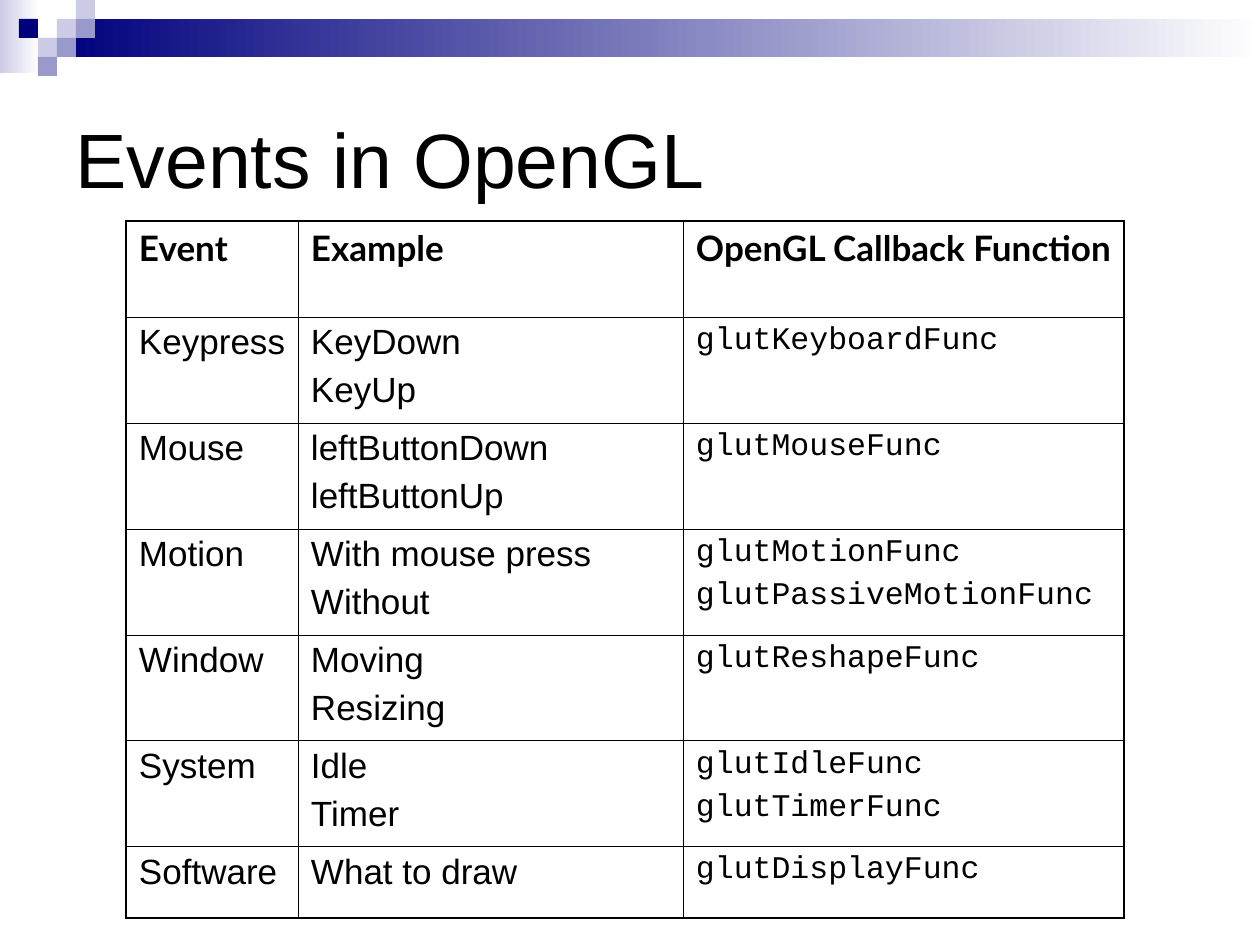
import pptx
import pptx.dml.color
import pptx.enum.shapes
import pptx.enum.text
import pptx.oxml
import pptx.oxml.ns
import pptx.util
from dataclasses import dataclass

SCALE = 914400 / 126


@dataclass(frozen=True)
class Theme:
    ink: str = "000000"
    paper: str = "FFFFFF"
    navy: str = "00007D"
    mid: str = "9999CC"
    pale: str = "CCCCE6"
    sans: str = "Arial"
    head: str = "Lato"
    mono: str = "Courier New"
    title: int = 44
    body: int = 20
    code: int = 18
    thick: float = 1.08
    thin: float = 0.45


THEME = Theme()

HEADS = ["Event", "Example", "OpenGL Callback Function"]
EVENTS = [
    ("Keypress", "KeyDown\nKeyUp", "glutKeyboardFunc"),
    ("Mouse", "leftButtonDown\nleftButtonUp", "glutMouseFunc"),
    ("Motion", "With mouse press\nWithout", "glutMotionFunc\nglutPassiveMotionFunc"),
    ("Window", "Moving\nResizing", "glutReshapeFunc"),
    ("System", "Idle\nTimer", "glutIdleFunc\nglutTimerFunc"),
    ("Software", "What to draw", "glutDisplayFunc"),
]


def px(num):
    return pptx.util.Emu(round(num * SCALE))


def rgb(code):
    return pptx.dml.color.RGBColor.from_string(code)


def style(para, face, size, bold=False):
    para.font.name = face
    para.font.size = pptx.util.Pt(size)
    para.font.bold = bold
    para.font.color.rgb = rgb(THEME.ink)


def add_block(slide, box, *tints):
    """Add a plain rectangle; two tints make a gradient from left to right."""
    kind = pptx.enum.shapes.MSO_SHAPE.RECTANGLE
    shape = slide.shapes.add_shape(kind, *map(px, box))
    shape.shadow.inherit = False
    shape.line.fill.background()
    if len(tints) == 1:
        shape.fill.solid()
        shape.fill.fore_color.rgb = rgb(tints[0])
        return
    shape.fill.gradient()
    shape.fill.gradient_angle = 0
    for stop, tint in zip(shape.fill.gradient_stops, tints):
        stop.color.rgb = rgb(tint)


def add_banner(slide, box):
    left, top, width, height = box
    unit = height // 4
    add_block(slide, (left, top, 39, 73), THEME.pale, THEME.paper)
    bar = (left + 3 * unit, top + unit, width - 3 * unit, 2 * unit)
    add_block(slide, bar, THEME.navy, THEME.paper)
    tiles = [
        (3, 1, THEME.pale), (4, 0, THEME.pale), (4, 1, THEME.mid),
        (2, 2, THEME.pale), (1, 1, THEME.navy), (3, 2, THEME.mid),
        (2, 3, THEME.mid),
    ]
    for col, row, tint in tiles:
        spot = (left + col * unit, top + row * unit, unit, unit)
        add_block(slide, spot, tint)


def set_title(slide, box, text):
    title = slide.shapes.title
    title.left, title.top, title.width, title.height = map(px, box)
    frame = title.text_frame
    frame.text = text
    frame.word_wrap = True
    frame.vertical_anchor = pptx.enum.text.MSO_ANCHOR.MIDDLE
    para = frame.paragraphs[0]
    para.alignment = pptx.enum.text.PP_ALIGN.LEFT
    style(para, THEME.sans, THEME.title)


def set_edge(cell, side, width):
    space = pptx.oxml.ns.nsdecls("a")
    line = pptx.oxml.parse_xml(
        f'<a:ln{side} {space} w="{pptx.util.Pt(width)}"><a:solidFill>'
        f'<a:srgbClr val="{THEME.ink}"/></a:solidFill></a:ln{side}>'
    )
    cell._tc.get_or_add_tcPr().append(line)


def fill_cell(cell, text, face, size, bold):
    cell.fill.background()
    cell.margin_left, cell.margin_right = px(13), px(9)
    cell.margin_top = cell.margin_bottom = px(6)
    cell.text = text
    for para in cell.text_frame.paragraphs:
        para.space_before = pptx.util.Pt(size / 4)
        style(para, face, size, bold)


def add_events(slide, box):
    left, top, width, height = box
    rows = [HEADS, *EVENTS]
    first, last = 96, 71
    step = (height - first - last) // (len(rows) - 2)
    tall = [first] + [step] * (len(rows) - 2) + [last]
    name, case = 172, 385
    wide = [name, case, width - name - case]
    frame = slide.shapes.add_table(len(rows), len(wide), *map(px, box))
    table = frame.table
    table.first_row = table.horz_banding = False
    for col, size in zip(table.columns, wide):
        col.width = px(size)
    for row, size in zip(table.rows, tall):
        row.height = px(size)
    for r, texts in enumerate(rows):
        for c, text in enumerate(texts):
            cell = table.cell(r, c)
            outer = {
                "L": c == 0, "R": c == len(wide) - 1,
                "T": r == 0, "B": r == len(rows) - 1,
            }
            for side, edge in outer.items():
                set_edge(cell, side, THEME.thick if edge else THEME.thin)
            if r == 0:
                face, size = THEME.head, THEME.body
            elif c == 2:
                face, size = THEME.mono, THEME.code
            else:
                face, size = THEME.sans, THEME.body
            fill_cell(cell, text, face, size, r == 0)


def main():
    deck = pptx.Presentation()
    deck.slide_width, deck.slide_height = px(1260), px(945)
    slide = deck.slides.add_slide(deck.slide_layouts[5])
    add_banner(slide, (0, 0, 1260, 76))
    set_title(slide, (63, 63, 1134, 189), "Events in OpenGL")
    add_events(slide, (126, 221, 998, 697))
    deck.save("out.pptx")


if __name__ == "__main__":
    main()
